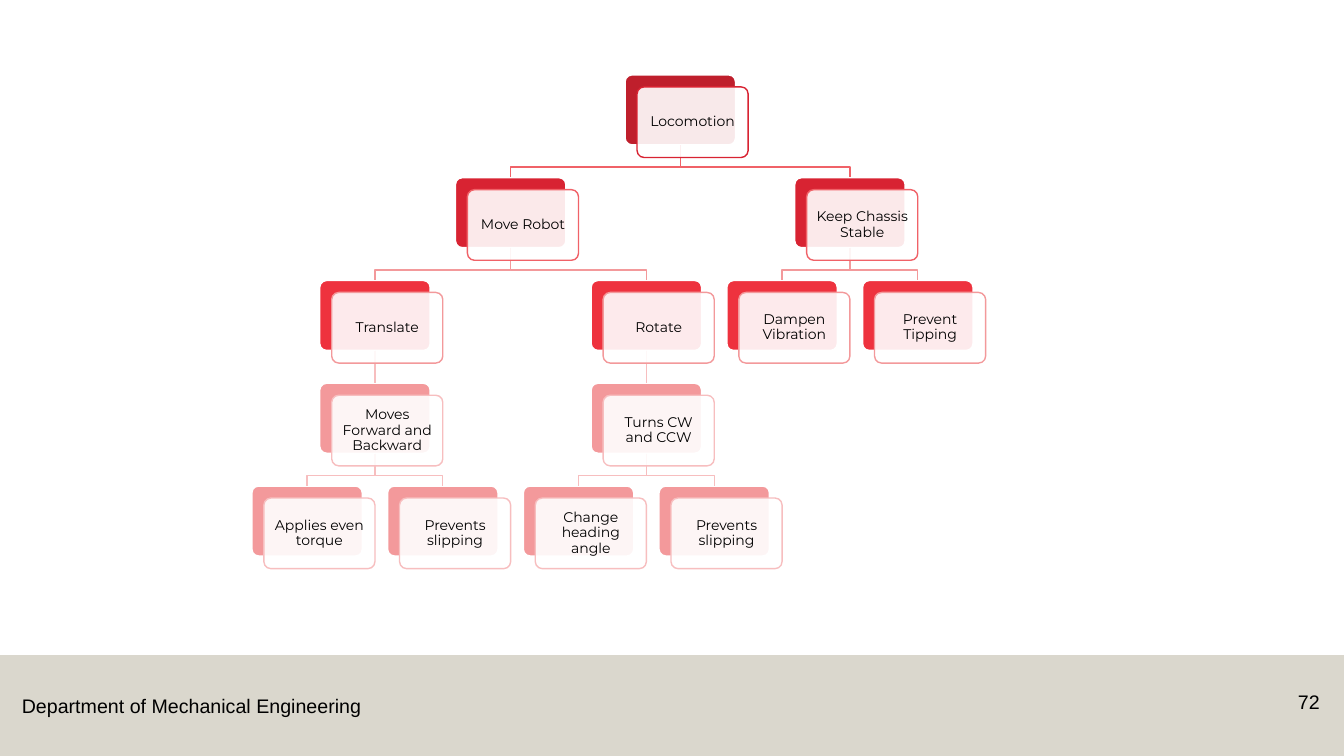
import dataclasses
import typing

import lxml.etree
import pptx
import pptx.dml.color
import pptx.dml.fill
import pptx.enum.shapes
import pptx.enum.text
import pptx.oxml.ns
import pptx.shapes.autoshape
import pptx.shapes.connector
import pptx.slide
import pptx.text.text
import pptx.util

Cm = pptx.util.Cm
Pt = pptx.util.Pt
Shape = pptx.shapes.autoshape.Shape
Preset = pptx.enum.shapes.MSO_SHAPE
Align = pptx.enum.text.PP_ALIGN
Anchor = pptx.enum.text.MSO_ANCHOR


@dataclasses.dataclass(frozen=True)
class Theme:
    text: str = "000000"
    white: str = "FFFFFF"
    footer: str = "B7B09C"
    plates: tuple[str, ...] = ("BF1F2C", "D82332", "EE323E", "F3999B", "F3999B")
    edges: tuple[str, ...] = ("D82332", "F06268", "F3999B", "F7BEBF", "F7BEBF")
    card_font: str = "Montserrat"
    footer_font: str = "Arial"
    card_size: int = 10
    footer_size: int = 14
    plate_line: float = 1.5
    thin_line: float = 1


@dataclasses.dataclass
class Node:
    """A function of the tree; slot counts columns and is set for leaves only."""
    label: str
    children: tuple["Node", ...] = ()
    slot: float = 0
    level: int = 0
    plate: Shape | None = None

    @property
    def column(self) -> float:
        if not self.children:
            return self.slot
        return (self.children[0].column + self.children[-1].column) / 2

    @property
    def center(self) -> float:
        return FIRST_CENTER + COLUMN_STEP * self.column

    @property
    def top(self) -> float:
        return FIRST_TOP + ROW_STEP * self.level


THEME = Theme()
SLIDE_WIDTH, SLIDE_HEIGHT = 33.87, 19.05
FOOTER_HEIGHT = 2.54
FIRST_CENTER, COLUMN_STEP = 7.74, 3.42
FIRST_TOP, ROW_STEP = 1.88, 2.59
CARD_WIDTH, CARD_HEIGHT = 2.8, 1.78
CARD_SHIFT = 0.31
CARD_INSET = 0.15
BEND_DROP = 0.55

TREE = Node("Locomotion", (
    Node("Move Robot", (
        Node("Translate", (
            Node("Moves Forward and Backward", (
                Node("Applies even torque", slot=0),
                Node("Prevents slipping", slot=1),
            )),
        )),
        Node("Rotate", (
            Node("Turns CW and CCW", (
                Node("Change heading angle", slot=2),
                Node("Prevents slipping", slot=3),
            )),
        )),
    )),
    Node("Keep Chassis Stable", (
        Node("Dampen Vibration", slot=3.5),
        Node("Prevent Tipping", slot=4.5),
    )),
))


def rgb(code: str) -> pptx.dml.color.RGBColor:
    return pptx.dml.color.RGBColor.from_string(code)


def walk(node: Node, level: int = 0) -> typing.Iterator[Node]:
    """Yield the node and all below it, setting their levels."""
    node.level = level
    yield node
    for child in node.children:
        yield from walk(child, level + 1)


def write(box: Shape, text: str, *, font: str, size: float,
          align: Align = Align.LEFT, anchor: Anchor = Anchor.TOP,
          wrap: bool = True, inset: float | None = None,
          line_spacing: float | None = None) -> None:
    frame = box.text_frame
    frame.word_wrap = wrap
    frame.vertical_anchor = anchor
    if inset is not None:
        frame.margin_left = frame.margin_right = Cm(inset)
        frame.margin_top = frame.margin_bottom = Cm(inset)
    para = frame.paragraphs[0]
    para.alignment = align
    para.line_spacing = line_spacing
    span = para.add_run()
    span.text = text
    span.font.name = font
    span.font.size = Pt(size)
    span.font.color.rgb = rgb(THEME.text)


def add_panel(page: pptx.slide.Slide, preset: Preset, left: float, top: float,
              width: float, height: float, color: str, opacity: int = 100) -> Shape:
    panel = page.shapes.add_shape(preset, Cm(left), Cm(top), Cm(width), Cm(height))
    panel.shadow.inherit = False
    panel.fill.solid()
    panel.fill.fore_color.rgb = rgb(color)
    panel.line.fill.background()
    if opacity < 100:
        qn = pptx.oxml.ns.qn
        tone = panel.fill._xPr.find(qn("a:solidFill")).find(qn("a:srgbClr"))
        lxml.etree.SubElement(tone, qn("a:alpha")).set("val", str(opacity * 1000))
    return panel


def set_line(item: Shape | pptx.shapes.connector.Connector, color: str, width: float) -> None:
    item.line.color.rgb = rgb(color)
    item.line.width = Pt(width)


def add_card(page: pptx.slide.Slide, node: Node, shift: float, color: str,
             opacity: int, edge: str, edge_width: float) -> Shape:
    card = add_panel(page, Preset.ROUNDED_RECTANGLE, node.center - CARD_WIDTH / 2 + shift,
                     node.top + shift, CARD_WIDTH, CARD_HEIGHT, color, opacity)
    card.adjustments[0] = 0.1
    set_line(card, edge, edge_width)
    return card


def add_link(page: pptx.slide.Slide, parent: Node, child: Node) -> None:
    """Join plates with a straight connector to an only child, else with a bent line."""
    start, end = Cm(parent.center), Cm(child.center)
    bottom, top = Cm(parent.top + CARD_HEIGHT), Cm(child.top)
    if len(parent.children) == 1:
        link = page.shapes.add_connector(
            pptx.enum.shapes.MSO_CONNECTOR.STRAIGHT, start, bottom, end, top)
        link.begin_connect(parent.plate, 2)
        link.end_connect(child.plate, 0)
        lxml.etree.SubElement(link._element.spPr, pptx.oxml.ns.qn("a:effectLst"))
    else:
        bend = bottom + Cm(BEND_DROP)
        outline = page.shapes.build_freeform(start, bottom)
        outline.add_line_segments([(start, bend), (end, bend), (end, top)], close=False)
        link = outline.convert_to_shape()
        link.shadow.inherit = False
        link.fill.background()
    set_line(link, THEME.edges[child.level], THEME.thin_line)


def add_footer(page: pptx.slide.Slide) -> None:
    add_panel(page, Preset.RECTANGLE, 0, SLIDE_HEIGHT - FOOTER_HEIGHT,
              SLIDE_WIDTH, FOOTER_HEIGHT, THEME.footer, opacity=50)
    style = {"font": THEME.footer_font, "size": THEME.footer_size}
    department = page.shapes.add_textbox(Cm(0.3), Cm(17.35), Cm(9.12), Cm(0.86))
    write(department, "Department of Mechanical Engineering", wrap=False, **style)
    number = page.shapes.add_textbox(Cm(31.55), Cm(17.25), Cm(1.96), Cm(1.02))
    write(number, "72", align=Align.RIGHT, **style)


def add_tree(page: pptx.slide.Slide, root: Node) -> None:
    nodes = list(walk(root))
    for node in nodes:
        node.plate = add_card(page, node, 0, THEME.plates[node.level], 100,
                              THEME.white, THEME.plate_line)
    for node in nodes:
        for child in node.children:
            add_link(page, node, child)
    for node in nodes:
        card = add_card(page, node, CARD_SHIFT, THEME.white, 90,
                        THEME.edges[node.level], THEME.thin_line)
        write(card, node.label, font=THEME.card_font, size=THEME.card_size,
              align=Align.CENTER, anchor=Anchor.MIDDLE, inset=CARD_INSET, line_spacing=0.9)


def main() -> None:
    deck = pptx.Presentation()
    deck.slide_width, deck.slide_height = Cm(SLIDE_WIDTH), Cm(SLIDE_HEIGHT)
    page = deck.slides.add_slide(deck.slide_layouts[6])
    add_footer(page)
    add_tree(page, TREE)
    deck.save("out.pptx")


if __name__ == "__main__":
    main()
